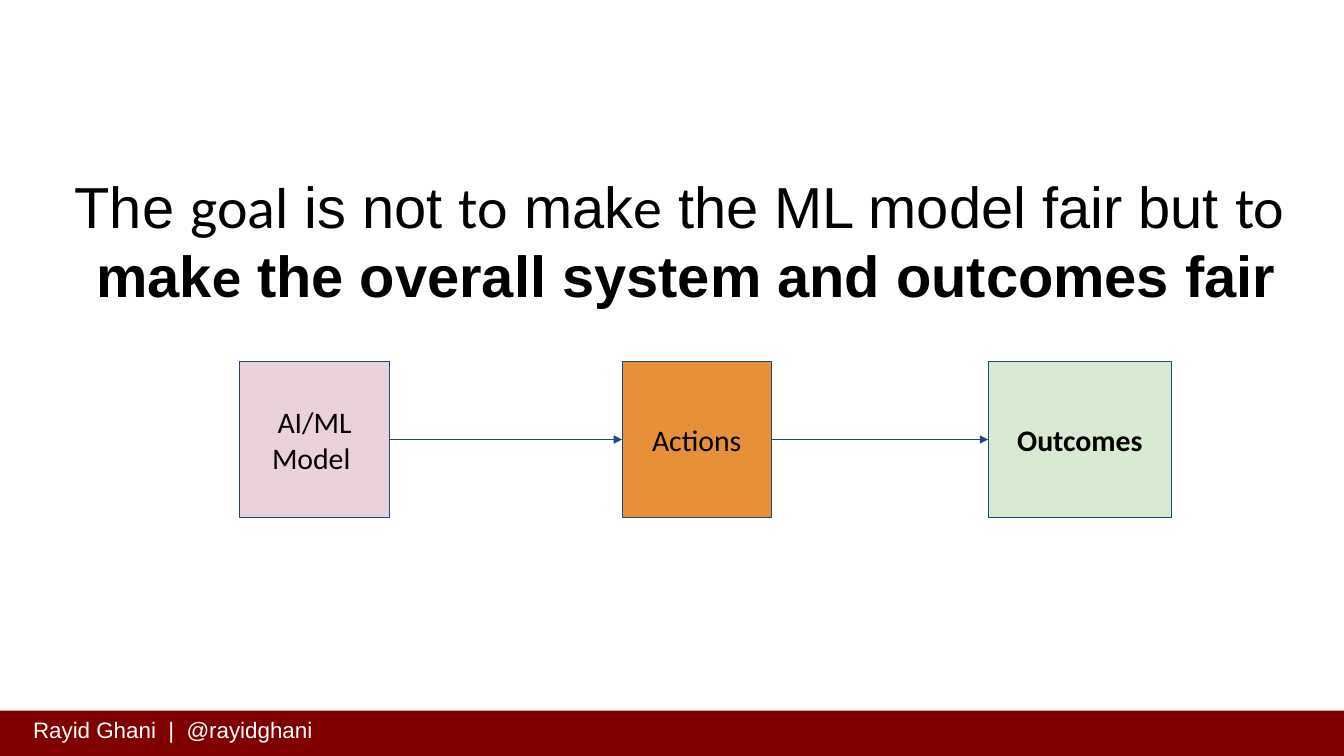
from lxml.etree import SubElement as Sub
from pptx import Presentation as Deck
from pptx.dml.color import RGBColor as Rgb
from pptx.enum.shapes import MSO_CONNECTOR as Conn, MSO_SHAPE as Kind
from pptx.enum.text import MSO_ANCHOR as Anchor, PP_ALIGN as Align
from pptx.oxml.ns import qn
from pptx.util import Inches, Pt

NAVY = "1F497D"
TOP, HIGH = 3.59, 1.54
TITLE = [
    (False, [("The ", "Arial"), ("goal", "Calibri"), (" is not ", "Arial"),
             ("to", "Calibri"), (" mak", "Arial"), ("e", "Calibri"),
             (" the ML model fair but ", "Arial"), ("to ", "Calibri")]),
    (True, [("mak", "Arial"), ("e", "Calibri"),
            (" the overall system and outcomes fair", "Arial")]),
]
STEPS = [
    ("AI/ML Model ", 2.38, 1.48, "EAD1DC", False),
    ("Actions", 6.17, 1.48, "E69138", False),
    ("Outcomes", 9.8, 1.82, "D9EAD3", True),
]


def tint(form, code):
    form.solid()
    form.fore_color.rgb = Rgb.from_string(code)


def apply(item, form):
    for name, value in form.items():
        setattr(item, name, value)


def add_run(para, text, face, size, code="000000", bold=False):
    run = para.add_run()
    run.text = text
    apply(run.font, {"name": face, "size": Pt(size), "bold": bold})
    tint(run.font.fill, code)


def add_rect(slide, box, fill):
    rect = slide.shapes.add_shape(Kind.RECTANGLE, *map(Inches, box))
    rect.shadow.inherit = False
    tint(rect.fill, fill)
    return rect


def add_text(slide, box, lines, size, code, align):
    frame = slide.shapes.add_textbox(*map(Inches, box)).text_frame
    frame.word_wrap = True
    for i, (bold, runs) in enumerate(lines):
        para = frame.add_paragraph() if i else frame.paragraphs[0]
        para.alignment = align
        for text, face in runs:
            add_run(para, text, face, size, code, bold)


def add_step(slide, text, left, width, fill, bold):
    rect = add_rect(slide, (left, TOP, width, HIGH), fill)
    tint(rect.line.fill, NAVY)
    rect.line.width = Pt(0.75)
    frame = rect.text_frame
    sides = ("left", "top", "right", "bottom")
    apply(frame, {f"margin_{side}": Inches(0.1) for side in sides})
    apply(frame, {"word_wrap": True, "vertical_anchor": Anchor.MIDDLE})
    para = frame.paragraphs[0]
    para.alignment = Align.CENTER
    add_run(para, text, "Calibri", 21.3, bold=bold)
    return rect


def add_arrow(slide, start, end):
    arrow = slide.shapes.add_connector(Conn.STRAIGHT, 0, 0, 0, 0)
    arrow.begin_connect(start, 3)
    arrow.end_connect(end, 1)
    tint(arrow.line.fill, NAVY)
    arrow.line.width = Pt(0.75)
    Sub(arrow.line._get_or_add_ln(), qn("a:tailEnd"), type="triangle")
    Sub(arrow._element.spPr, qn("a:effectLst"))


def main():
    deck = Deck()
    apply(deck, {"slide_width": Inches(13.33), "slide_height": Inches(7.5)})
    slide = deck.slides.add_slide(deck.slide_layouts[6])
    band = add_rect(slide, (0, 7.05, 13.33, 0.45), "800000")
    band.line.fill.background()
    foot = [(False, [("Rayid Ghani  |  @rayidghani", "Arial")])]
    add_text(slide, (0.23, 7.06, 3.04, 0.37), foot, 16, "FFFFFF", Align.LEFT)
    add_text(slide, (0.57, 1.64, 12.47, 1.18), TITLE, 41.3, "000000",
             Align.CENTER)
    boxes = [add_step(slide, *step) for step in STEPS]
    for start, end in zip(boxes, boxes[1:]):
        add_arrow(slide, start, end)
    deck.save("out.pptx")


if __name__ == "__main__":
    main()
